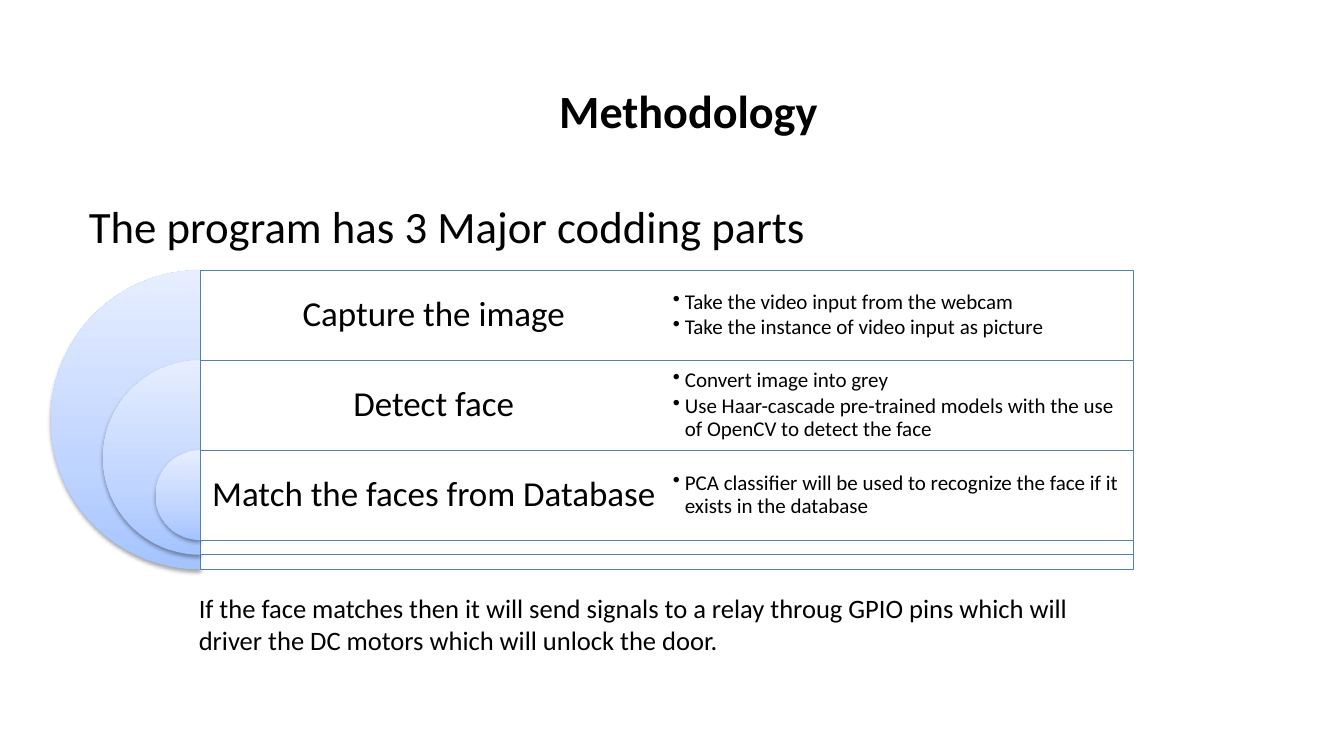
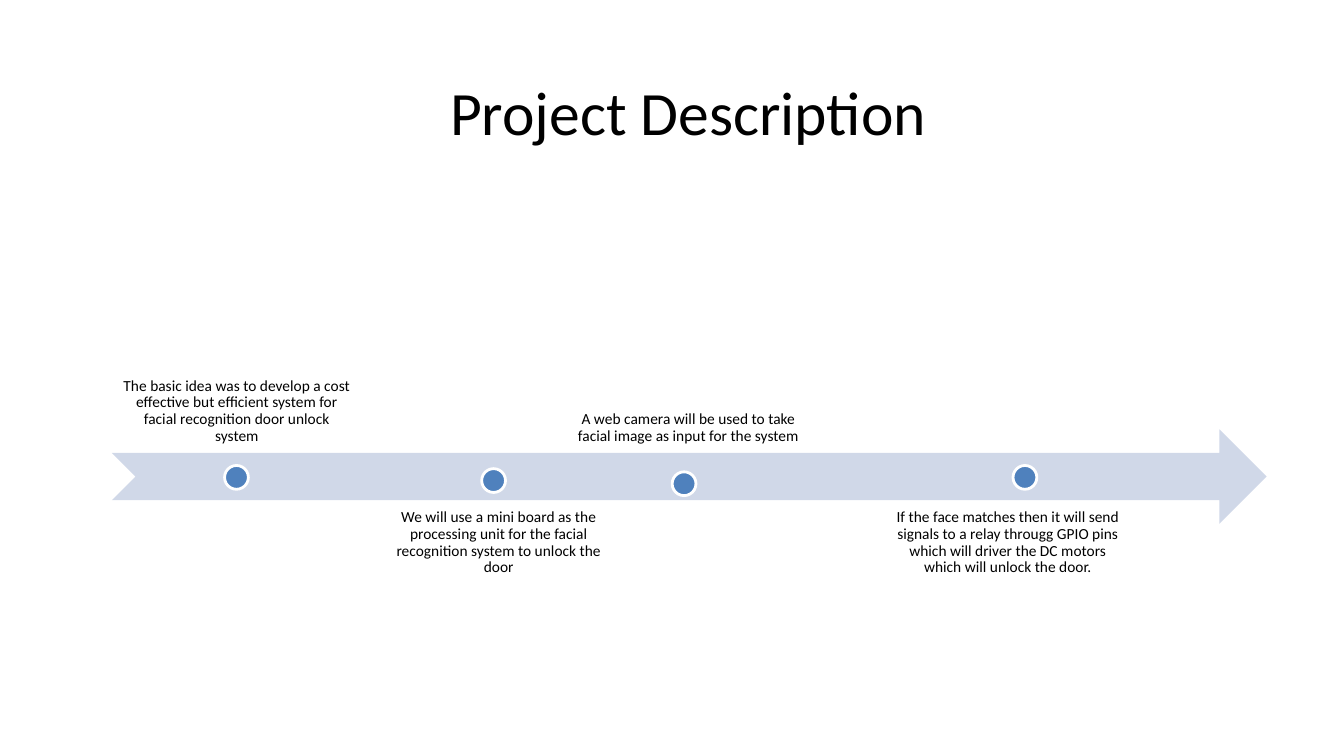
from copy import deepcopy

from lxml.etree import SubElement
from pptx import Presentation
from pptx.dml.color import RGBColor
from pptx.enum.shapes import MSO_SHAPE as SHAPE
from pptx.enum.text import MSO_ANCHOR as ANCHOR, MSO_AUTO_SIZE as AUTO_SIZE, PP_ALIGN as ALIGN
from pptx.oxml.ns import qn
from pptx.util import Cm, Pt

FONT = "Calibri"
BLACK = RGBColor(0x00, 0x00, 0x00)
WHITE = RGBColor(0xFF, 0xFF, 0xFF)
BLUE = RGBColor(0x4F, 0x81, 0xBD)
PALE_BLUE = RGBColor(0xD0, 0xD8, 0xE8)
PIE_STOPS = [
    (0, RGBColor(0xA4, 0xC4, 0xFF)),
    (0.35, RGBColor(0xBF, 0xD4, 0xFF)),
    (1, RGBColor(0xE6, 0xEE, 0xFF)),
]
TITLE_AND_CONTENT, TITLE_ONLY = 1, 5


class Deck:
    """Holds the presentation, its text style and the current slide."""

    def __init__(self):
        self.prs = Presentation()
        self.prs.slide_width, self.prs.slide_height = Cm(33.87), Cm(19.05)
        self.slide = None

    def new_slide(self, layout, title, size, bold=False):
        self.slide = self.prs.slides.add_slide(self.prs.slide_layouts[layout])
        sp = self.slide.shapes.title
        self.place(sp, 2.11, 1.2, 30.48, 3.17)
        self.set_text(sp.text_frame, [title], size, bold=bold, align=ALIGN.CENTER,
                      anchor=ANCHOR.MIDDLE, inset=0.13)

    def body(self, text, size):
        sp = self.slide.placeholders[1]
        self.place(sp, 2.11, 4.88, 30.48, 12.57)
        self.set_text(sp.text_frame, [text], size, inset=0.13)
        pPr = sp.text_frame.paragraphs[0]._p.get_or_add_pPr()
        pPr.set("marL", "0")
        pPr.set("indent", "0")
        SubElement(pPr, qn("a:buNone"))

    def place(self, sp, x, y, w, h):
        sp.left, sp.top, sp.width, sp.height = Cm(x), Cm(y), Cm(w), Cm(h)

    def set_text(self, tf, lines, size, bold=False, align=ALIGN.LEFT, anchor=ANCHOR.TOP,
                 inset=None, spacing=1.0, bullets=False):
        tf.word_wrap = True
        tf.auto_size = AUTO_SIZE.NONE
        tf.vertical_anchor = anchor
        if inset is not None:
            tf.margin_left = tf.margin_top = tf.margin_right = tf.margin_bottom = Cm(inset)
        tf.text = "\n".join(lines)
        for p in tf.paragraphs:
            if bullets:
                self.bullet(p)
            p.alignment = align
            p.line_spacing = spacing
            p.space_before = Pt(0)
            for r in p.runs:
                r.font.name, r.font.size, r.font.bold = FONT, Pt(size), bold
                r.font.color.rgb = BLACK

    def bullet(self, p):
        pPr = p._p.get_or_add_pPr()
        pPr.set("marL", str(Cm(0.3)))
        pPr.set("indent", str(Cm(-0.3)))
        SubElement(pPr, qn("a:buChar"), char="•")
        p.space_after = Pt(2.25)

    def text(self, x, y, w, h, lines, size, **style):
        sp = self.slide.shapes.add_textbox(Cm(x), Cm(y), Cm(w), Cm(h))
        self.set_text(sp.text_frame, lines, size, **style)

    def shape(self, kind, x, y, w, h, fill=None, line=None, line_width=0.75):
        sp = self.slide.shapes.add_shape(kind, Cm(x), Cm(y), Cm(w), Cm(h))
        sp.shadow.inherit = False
        if fill is not None:
            sp.fill.solid()
            sp.fill.fore_color.rgb = fill
        if line is None:
            sp.line.fill.background()
        else:
            sp.line.color.rgb = line
            sp.line.width = Pt(line_width)
        return sp

    def panel(self, x, y, w, h):
        """Outlined white rectangle, slightly see-through."""
        sp = self.shape(SHAPE.RECTANGLE, x, y, w, h, WHITE, BLUE)
        color = sp._element.spPr.find(qn("a:solidFill")).find(qn("a:srgbClr"))
        SubElement(color, qn("a:alpha"), val="90000")

    def half_disc(self, x, y, diameter):
        """Left half of a disc, with a gradient and a soft shadow."""
        sp = self.shape(SHAPE.PIE, x, y, diameter, diameter)
        sp.adjustments[0], sp.adjustments[1] = 54, 162
        sp.fill.gradient()
        sp.fill.gradient_angle = 90
        spPr = sp._element.spPr
        stops = spPr.find(qn("a:gradFill")).find(qn("a:gsLst"))
        stops.append(deepcopy(stops[0]))
        for stop, (position, color) in zip(sp.fill.gradient_stops, PIE_STOPS):
            stop.position = position
            stop.color.rgb = color
        shadow = SubElement(spPr.find(qn("a:effectLst")), qn("a:outerShdw"),
                            blurRad=str(Pt(3)), dist=str(Pt(1.8)), dir="5400000",
                            rotWithShape="0")
        color = SubElement(shadow, qn("a:srgbClr"), val=str(BLACK))
        SubElement(color, qn("a:alpha"), val="35000")


def methodology(deck):
    deck.new_slide(TITLE_AND_CONTENT, "Methodology", 33, bold=True)
    deck.body("The program has 3 Major codding parts", 32)
    steps = [
        ("Capture the image", ["Take the video input from the webcam",
                               "Take the instance of video input as picture"]),
        ("Detect face", ["Convert image into grey",
                         "Use Haar-cascade pre-trained models with the use of OpenCV "
                         "to detect the face"]),
        ("Match the faces from Database", ["PCA classifier will be used to recognize the "
                                           "face if it exists in the database"]),
    ]
    left, top, column, row = 5.05, 6.81, 11.76, 2.27
    for i, (name, details) in enumerate(steps):
        y = top + i * row
        diameter = 7.54 - i * 2.64
        deck.half_disc(left - diameter / 2, y, diameter)
        deck.panel(left, y, 2 * column, diameter)
        deck.text(left, y, column, row, [name], 25, align=ALIGN.CENTER,
                  anchor=ANCHOR.MIDDLE, inset=0.25, spacing=0.9)
        deck.text(left + column, y, column, row, details, 15, anchor=ANCHOR.MIDDLE,
                  inset=0.15, spacing=0.9, bullets=True)
    deck.text(4.76, 14.8, 23.8, 1.88,
              ["If the face matches then it will send signals to a relay throug GPIO pins "
               "which will driver the DC motors which will unlock the door."], 19)


def project_description(deck):
    deck.new_slide(TITLE_ONLY, "Project Description", 44)
    deck.shape(SHAPE.NOTCHED_RIGHT_ARROW, 2.82, 10.82, 29.1, 2.38, PALE_BLUE)
    # label left, dot left, dot top, label
    milestones = [
        (2.82, 5.66, 11.73, "The basic idea was to develop a cost effective but efficient "
                            "system for facial recognition door unlock system"),
        (9.42, 12.14, 11.81, "We will use a mini board as the processing unit for the "
                             "facial recognition system to unlock the door"),
        (14.2, 16.94, 11.89, "A web camera will be used to take facial image as input "
                             "for the system"),
        (22.25, 25.53, 11.73, "If the face matches then it will send signals to a relay "
                              "througg GPIO pins which will driver the DC motors which "
                              "will unlock the door."),
    ]
    for i, (label_x, dot_x, dot_y, label) in enumerate(milestones):
        y, anchor = (12.62, ANCHOR.TOP) if i % 2 else (9.04, ANCHOR.BOTTOM)
        deck.text(label_x, y, 6.3, 2.38, [label], 11, align=ALIGN.CENTER, anchor=anchor,
                  inset=0.22, spacing=0.9)
        deck.shape(SHAPE.OVAL, dot_x, dot_y, 0.6, 0.6, BLUE, WHITE, 2)


def main():
    deck = Deck()
    methodology(deck)
    project_description(deck)
    deck.prs.save("out.pptx")


if __name__ == "__main__":
    main()
